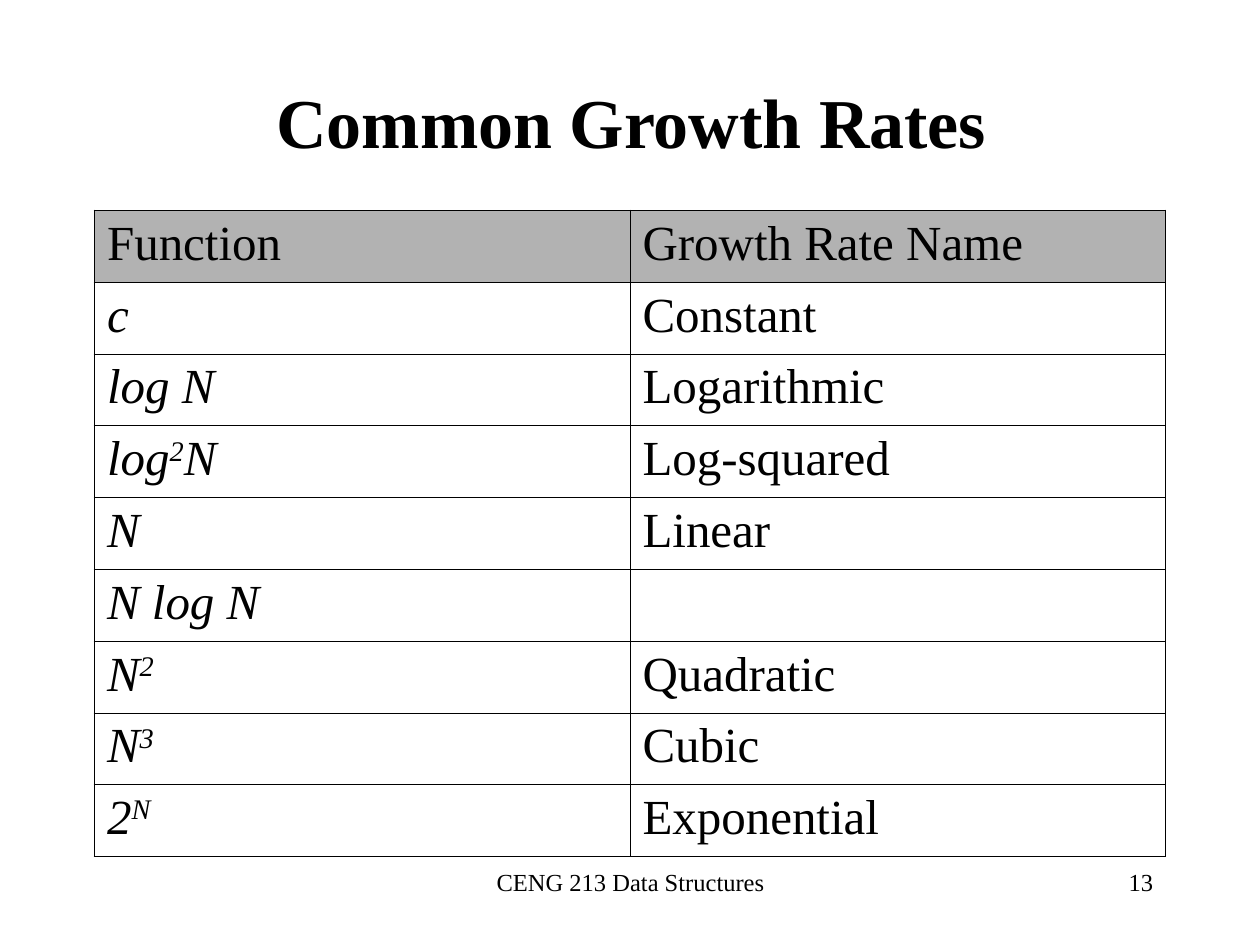
from typing import NamedTuple

from lxml import etree
from pptx import Presentation
from pptx.dml.color import RGBColor
from pptx.enum.text import MSO_ANCHOR, PP_ALIGN
from pptx.oxml.ns import qn
from pptx.util import Inches, Pt

LEFT, CENTER, RIGHT = PP_ALIGN.LEFT, PP_ALIGN.CENTER, PP_ALIGN.RIGHT
MIDDLE = MSO_ANCHOR.MIDDLE
FONT = "Times New Roman"
BLACK, HEADER_GRAY = "000000", "B2B2B2"
OUTER_LINE, INNER_LINE = Pt(1.08), Pt(0.45)
TITLE_ONLY = 5


class Piece(NamedTuple):
    text: str
    raised: bool = False


class GrowthRate(NamedTuple):
    formula: list[Piece]
    label: str


class Footer(NamedTuple):
    text: str
    left: float
    width: float
    align: PP_ALIGN


HEADINGS = ["Function", "Growth Rate Name"]
RATES = [
    GrowthRate([Piece("c")], "Constant"),
    GrowthRate([Piece("log N")], "Logarithmic"),
    GrowthRate([Piece("log"), Piece("2", True), Piece("N")], "Log-squared"),
    GrowthRate([Piece("N")], "Linear"),
    GrowthRate([Piece("N log N")], ""),
    GrowthRate([Piece("N"), Piece("2", True)], "Quadratic"),
    GrowthRate([Piece("N"), Piece("3", True)], "Cubic"),
    GrowthRate([Piece("2"), Piece("N", True)], "Exponential"),
]
FOOTERS = [
    Footer("CENG 213 Data Structures", 3.42, 3.17, CENTER),
    Footer("13", 7.17, 2.08, RIGHT),
]


def color(value: str) -> RGBColor:
    return RGBColor.from_string(value)


def write(paragraph, pieces: list[Piece], size: float, align=LEFT,
          bold: bool = False, italic: bool = False) -> None:
    paragraph.alignment = align
    for piece in pieces:
        run = paragraph.add_run()
        run.text = piece.text
        run.font.name = FONT
        run.font.size = Pt(size)
        run.font.bold = bold
        run.font.italic = italic
        run.font.color.rgb = color(BLACK)
        if piece.raised:
            run._r.get_or_add_rPr().set("baseline", "30000")


def draw_borders(cell, on_edge: dict[str, bool]) -> None:
    """Rule all four sides, heavier where the side is on the table's edge."""
    properties = cell._tc.get_or_add_tcPr()
    for side, outer in on_edge.items():
        line = etree.SubElement(properties, qn(f"a:ln{side}"),
                                w=str(OUTER_LINE if outer else INNER_LINE))
        fill = etree.SubElement(line, qn("a:solidFill"))
        etree.SubElement(fill, qn("a:srgbClr"), val=BLACK)


def add_title(slide, text: str) -> None:
    title = slide.shapes.title
    title.left, title.top = Inches(0.83), Inches(0.5)
    title.width, title.height = Inches(8.5), Inches(0.92)
    title.text_frame.vertical_anchor = MIDDLE
    write(title.text_frame.paragraphs[0], [Piece(text)], 40, CENTER, bold=True)


def add_growth_table(slide) -> None:
    rows = [[[Piece(heading)] for heading in HEADINGS]]
    rows += [[rate.formula, [Piece(rate.label)] if rate.label else []]
             for rate in RATES]
    last_row, last_column = len(rows) - 1, len(HEADINGS) - 1
    table = slide.shapes.add_table(len(rows), len(HEADINGS), Inches(0.75),
                                   Inches(1.67), Inches(8.5), Inches(5.13)).table
    table.first_row = table.horz_banding = False
    for r, row in enumerate(rows):
        for c, pieces in enumerate(row):
            cell = table.cell(r, c)
            draw_borders(cell, {"L": c == 0, "R": c == last_column,
                                "T": r == 0, "B": r == last_row})
            if r == 0:
                cell.fill.solid()
                cell.fill.fore_color.rgb = color(HEADER_GRAY)
            else:
                cell.fill.background()
            paragraph = cell.text_frame.paragraphs[0]
            paragraph.space_before = Pt(7)
            write(paragraph, pieces, 28, italic=r > 0 and c == 0)


def add_footer(slide, footer: Footer) -> None:
    box = slide.shapes.add_textbox(Inches(footer.left), Inches(6.83),
                                   Inches(footer.width), Inches(0.5))
    box.text_frame.word_wrap = True
    write(box.text_frame.paragraphs[0], [Piece(footer.text)], 14, footer.align)


def main() -> None:
    deck = Presentation()
    deck.slide_width, deck.slide_height = Inches(10), Inches(7.5)
    slide = deck.slides.add_slide(deck.slide_layouts[TITLE_ONLY])
    # The trailing space sets the centred heading slightly to the left.
    add_title(slide, "Common Growth Rates ")
    add_growth_table(slide)
    for footer in FOOTERS:
        add_footer(slide, footer)
    deck.save("out.pptx")


if __name__ == "__main__":
    main()
